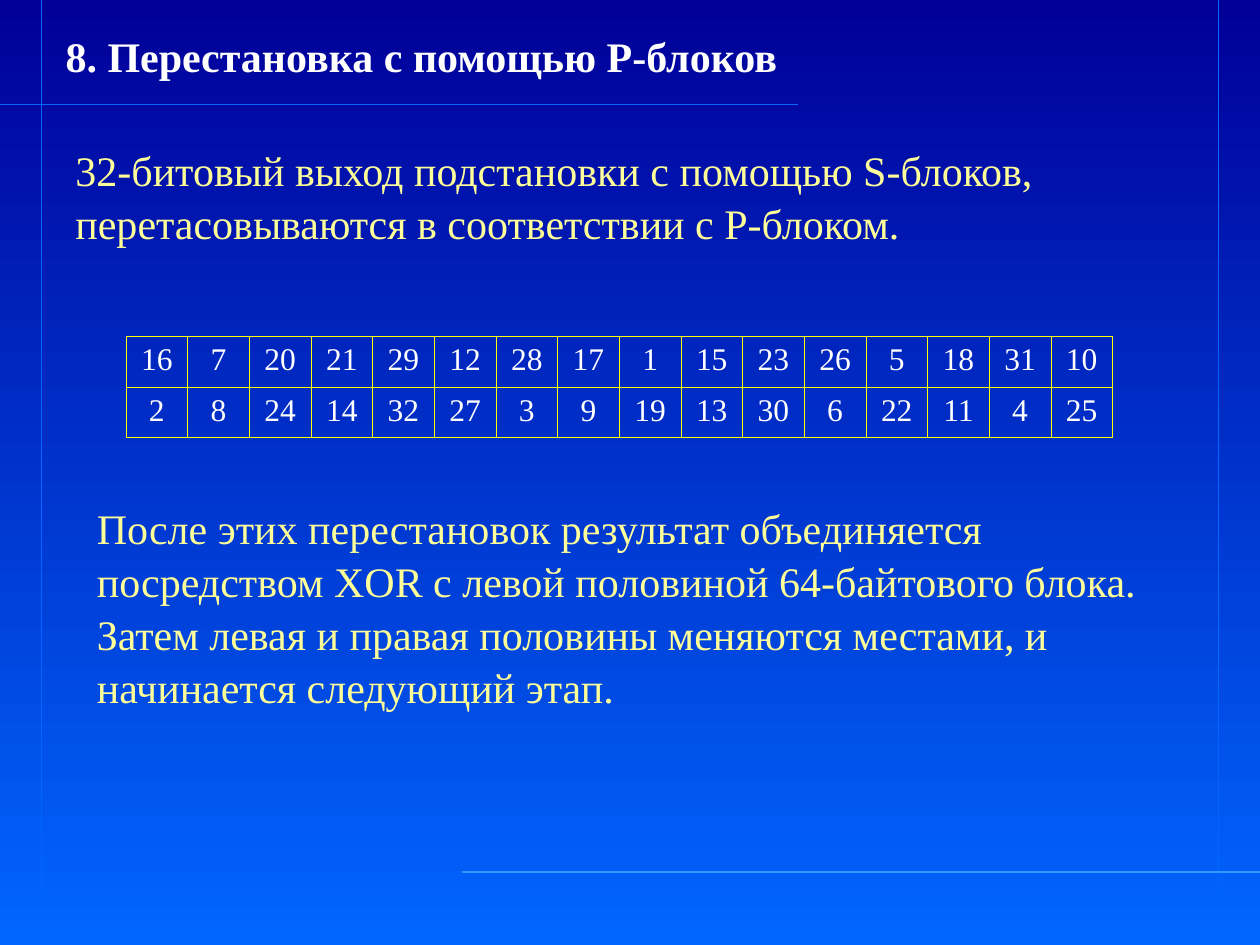
from dataclasses import dataclass

from lxml import etree
from pptx import Presentation
from pptx.dml.color import RGBColor
from pptx.enum.shapes import MSO_CONNECTOR
from pptx.enum.text import MSO_ANCHOR, MSO_AUTO_SIZE, PP_ALIGN
from pptx.oxml.ns import qn
from pptx.util import Inches, Pt

STRAIGHT = MSO_CONNECTOR.STRAIGHT
TOP = MSO_ANCHOR.TOP
GROW = MSO_AUTO_SIZE.SHAPE_TO_FIT_TEXT
LEFT, CENTER = PP_ALIGN.LEFT, PP_ALIGN.CENTER
TITLE_ONLY = 5


@dataclass(frozen=True)
class Theme:
    font: str = "Times New Roman"
    sky_top: str = "000099"
    sky_bottom: str = "0066FF"
    rule: str = "0066FF"
    footer_rule: str = "3399FF"
    white: str = "FFFFFF"
    body: str = "FFFF99"
    border: str = "FFFF00"
    text_size: float = 24
    cell_size: float = 18
    border_width: float = 0.45


THEME = Theme()

TITLE = "8. Перестановка с помощью P-блоков"
INTRO = ("32-битовый выход подстановки с помощью S-блоков, "
         "перетасовываются в соответствии с Р-блоком.")
OUTCOME = ("После этих перестановок результат объединяется посредством XOR "
           "с левой половиной 64-байтового блока. Затем левая и правая "
           "половины меняются местами, и начинается следующий этап.")
P_BLOCK = [
    [16, 7, 20, 21, 29, 12, 28, 17, 1, 15, 23, 26, 5, 18, 31, 10],
    [2, 8, 24, 14, 32, 27, 3, 9, 19, 13, 30, 6, 22, 11, 4, 25],
]


def write_text(frame, text, *, size=THEME.text_size, color=THEME.body,
               bold=False, align=LEFT, line_spacing=None):
    para = frame.paragraphs[0]
    para.alignment = align
    if line_spacing:
        para.line_spacing = line_spacing
    span = para.add_run()
    span.text = text
    span.font.name = THEME.font
    span.font.size = Pt(size)
    span.font.bold = bold
    span.font.color.rgb = RGBColor.from_string(color)


def fill_text_box(box, text, **style):
    frame = box.text_frame
    frame.word_wrap = True
    frame.auto_size = GROW
    frame.vertical_anchor = TOP
    write_text(frame, text, line_spacing=1.05, **style)


def add_rule(page, start, end, color, width=1):
    rule = page.shapes.add_connector(
        STRAIGHT, *(Inches(value) for value in (*start, *end)))
    rule.line.color.rgb = RGBColor.from_string(color)
    rule.line.width = Pt(width)
    etree.SubElement(rule._element.spPr, qn("a:effectLst"))


def add_backdrop(page, width, height):
    fill = page.background.fill
    fill.gradient()
    fill.gradient_angle = 270
    for stop, color in zip(fill.gradient_stops,
                           (THEME.sky_top, THEME.sky_bottom)):
        stop.color.rgb = RGBColor.from_string(color)
    margin, rule_length = 0.33, 6.33
    for x in (margin, width - margin):
        add_rule(page, (x, 0), (x, height), THEME.rule)
    add_rule(page, (0, 0.83), (rule_length, 0.83), THEME.rule, 0.75)
    add_rule(page, (width - rule_length, 6.92), (width, 6.92),
             THEME.footer_rule)


def add_title(page, left, top, width, height):
    title = page.shapes.title
    title.left, title.top = Inches(left), Inches(top)
    title.width, title.height = Inches(width), Inches(height)
    fill_text_box(title, TITLE, color=THEME.white, bold=True)


def add_body(page, text, left, top, width, height):
    box = page.shapes.add_textbox(Inches(left), Inches(top),
                                  Inches(width), Inches(height))
    fill_text_box(box, text)


def outline_cell(cell):
    properties = cell._tc.get_or_add_tcPr()
    for index, side in enumerate(("a:lnL", "a:lnR", "a:lnT", "a:lnB")):
        line = etree.Element(qn(side), w=str(int(Pt(THEME.border_width))))
        fill = etree.SubElement(line, qn("a:solidFill"))
        etree.SubElement(fill, qn("a:srgbClr"), val=THEME.border)
        properties.insert(index, line)


def add_p_block_table(page, left, top, width, height):
    rows, columns = len(P_BLOCK), len(P_BLOCK[0])
    table = page.shapes.add_table(rows, columns, Inches(left), Inches(top),
                                  Inches(width), Inches(height)).table
    table.first_row = table.horz_banding = False
    for row, values in enumerate(P_BLOCK):
        for column, value in enumerate(values):
            cell = table.cell(row, column)
            cell.fill.background()
            outline_cell(cell)
            write_text(cell.text_frame, str(value), size=THEME.cell_size,
                       color=THEME.white, align=CENTER)


def build_slide(deck, width, height):
    page = deck.slides.add_slide(deck.slide_layouts[TITLE_ONLY])
    add_backdrop(page, width, height)
    add_title(page, 0.42, 0.17, 5.92, 0.5)
    add_body(page, INTRO, 0.5, 1.08, 8.75, 0.9)
    add_p_block_table(page, 1, 2.67, 7.83, 0.8)
    add_body(page, OUTCOME, 0.67, 3.92, 8.9, 1.7)


def main():
    width, height = 10, 7.5
    deck = Presentation()
    deck.slide_width, deck.slide_height = Inches(width), Inches(height)
    build_slide(deck, width, height)
    deck.save("out.pptx")


if __name__ == "__main__":
    main()
